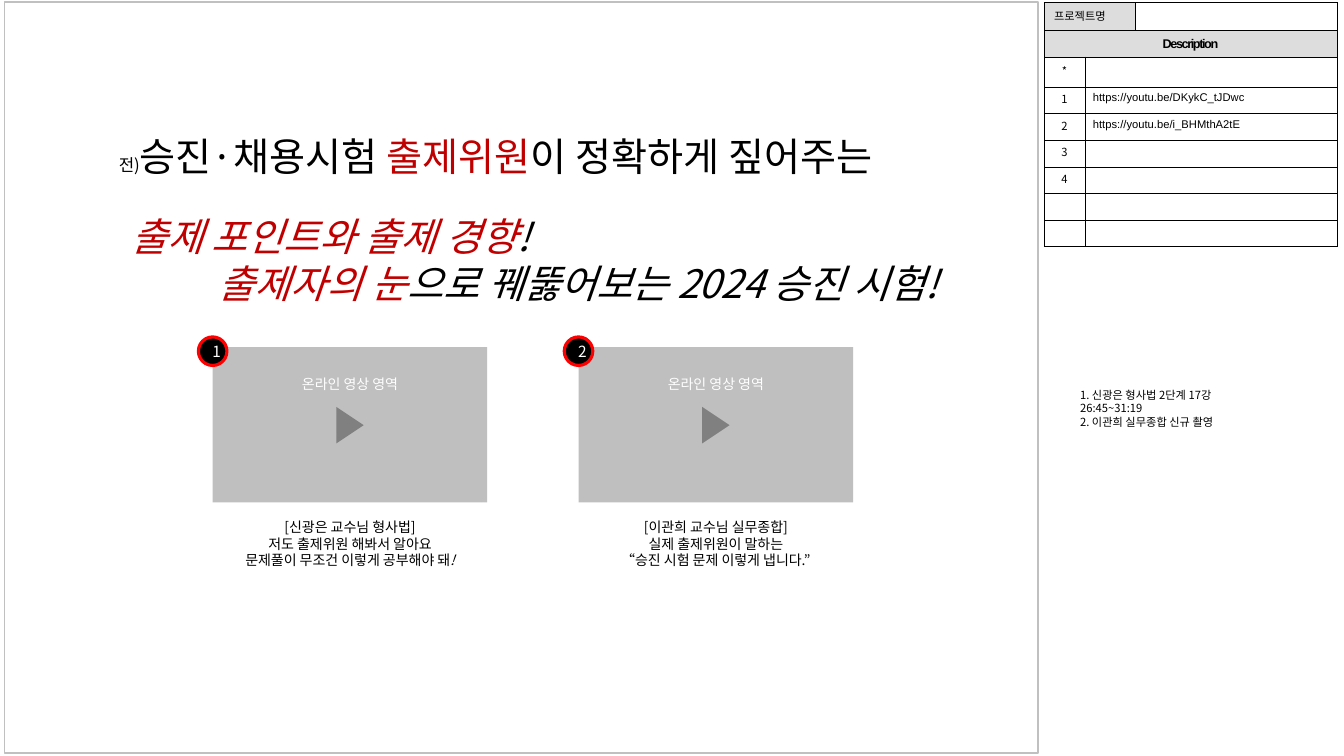
from lxml import etree
from pptx import Presentation
from pptx.dml.color import RGBColor
from pptx.enum.shapes import MSO_SHAPE
from pptx.enum.text import MSO_ANCHOR, MSO_AUTO_SIZE, PP_ALIGN
from pptx.oxml.ns import qn
from pptx.util import Cm, Pt

LEFT, CENTER = PP_ALIGN.LEFT, PP_ALIGN.CENTER
TOP, MIDDLE = MSO_ANCHOR.TOP, MSO_ANCHOR.MIDDLE
NO_AUTOFIT = MSO_AUTO_SIZE.NONE
RECTANGLE, OVAL = MSO_SHAPE.RECTANGLE, MSO_SHAPE.OVAL
TRIANGLE = MSO_SHAPE.ISOSCELES_TRIANGLE

KOREAN, LATIN = "Noto Sans CJK KR", "Arial"
BLACK, WHITE, RED = "000000", "FFFFFF", "C00000"
LINE_FACTOR = 1.2

HEADLINE = [
    ([("전)", {"size": 12}), ("승진·채용시험 ", {}), ("출제위원", {"color": RED}),
      ("이 정확하게 짚어주는", {})], 0.45, 0, False),
    ([("출제 포인트와 출제 경향", {"color": RED}), ("!", {})], 0.76, 24, True),
    ([("출제자의 눈", {"color": RED}), ("으로 꿰뚫어보는 2024 승진 시험!", {})], 2.97, 0, True),
]
VIDEOS = [
    ("1", 5.36, [[("[신광은 교수님 형사법]", {})], [("저도 출제위원 해봐서 알아요", {})],
                 [("문제풀이 무조건 이렇게 공부해야 돼", {}), ("!", {"italic": True})]]),
    ("2", 14.58, [[("[이관희 교수님 실무종합]", {})], [("실제 출제위원이 말하는", {})],
                  [("“승진 시험 문제 이렇게 냅니다.”", {})]]),
]
DESCRIPTIONS = [("*", ""), ("1", "https://youtu.be/DKykC_tJDwc"),
                ("2", "https://youtu.be/i_BHMthA2tE"), ("3", ""), ("4", ""), ("", ""), ("", "")]
SHOOTING_NOTES = ["1. 신광은 형사법 2단계 17강", "26:45~31:19", "2. 이관희 실무종합 신규 촬영"]


def rgb(value):
    """Turn a hex string into a colour."""
    return RGBColor.from_string(value)


def write(paragraph, runs, size, color=BLACK, align=LEFT, name=KOREAN, bold=False, italic=False):
    """Fill a paragraph with runs that share one font apart from their overrides."""
    paragraph.alignment = align
    paragraph.line_spacing = Pt(size * LINE_FACTOR)
    font = paragraph.font
    font.size, font.name, font.bold, font.italic = Pt(size), name, bold, italic
    font.color.rgb = rgb(color)
    defaults = paragraph._p.get_or_add_pPr().find(qn("a:defRPr"))
    etree.SubElement(defaults, qn("a:ea"), typeface=name)
    for text, changes in runs:
        run = paragraph.add_run()
        run.text = text
        if "size" in changes:
            run.font.size = Pt(changes["size"])
        if "color" in changes:
            run.font.color.rgb = rgb(changes["color"])
        if "italic" in changes:
            run.font.italic = changes["italic"]


def add_paragraphs(frame, count):
    """Return the first paragraph of a frame followed by new ones."""
    return [frame.paragraphs[0]] + [frame.add_paragraph() for _ in range(count - 1)]


def add_figure(slide, kind, left, top, width, height, fill=None, line=None, weight=1):
    """Add a flat preset shape at a place given in centimetres."""
    shape = slide.shapes.add_shape(kind, Cm(left), Cm(top), Cm(width), Cm(height))
    shape.shadow.inherit = False
    if fill:
        shape.fill.solid()
        shape.fill.fore_color.rgb = rgb(fill)
    else:
        shape.fill.background()
    if line:
        shape.line.color.rgb = rgb(line)
        shape.line.width = Pt(weight)
    else:
        shape.line.fill.background()
    return shape


def add_text(slide, left, top, width, height, lines, size, align=LEFT):
    """Add a wrapping text box with one paragraph per line."""
    box = slide.shapes.add_textbox(Cm(left), Cm(top), Cm(width), Cm(height))
    box.text_frame.word_wrap = True
    for paragraph, runs in zip(add_paragraphs(box.text_frame, len(lines)), lines):
        write(paragraph, runs, size, align=align)


def add_headline(slide, left, top, width, height):
    """Place the title and give its lines their stepped indents."""
    title = slide.shapes.title
    title.left, title.top, title.width, title.height = Cm(left), Cm(top), Cm(width), Cm(height)
    frame = title.text_frame
    frame.word_wrap, frame.auto_size, frame.vertical_anchor = True, NO_AUTOFIT, TOP
    for paragraph, line in zip(add_paragraphs(frame, len(HEADLINE)), HEADLINE):
        runs, indent, gap, italic = line
        properties = paragraph._p.get_or_add_pPr()
        properties.set("marL", str(Cm(indent)))
        properties.set("indent", "0")
        paragraph.space_before = Pt(gap)
        write(paragraph, runs, 28, italic=italic)


def add_video(slide, left, top, width, height, number, caption):
    """Draw a video area with its play mark, number badge and caption."""
    area = add_figure(slide, RECTANGLE, left, top, width, height, "BFBFBF")
    frame = area.text_frame
    frame.vertical_anchor, frame.margin_top = TOP, Cm(0.71)
    write(frame.paragraphs[0], [("온라인 영상 영역", {})], 10, WHITE, CENTER)
    play = add_figure(slide, TRIANGLE, left + width / 2 - 0.46, top + 1.62, 0.92, 0.69, "808080")
    play.rotation = 90
    add_text(slide, left, top + height + 0.28, width, 1.55, caption, 10, CENTER)
    badge = add_figure(slide, OVAL, left - 0.36, top - 0.26, 0.72, 0.72, BLACK, "FF0000", 2.25)
    frame = badge.text_frame
    frame.word_wrap, frame.vertical_anchor, frame.margin_left = False, MIDDLE, Cm(0.2)
    frame.margin_right = frame.margin_top = frame.margin_bottom = 0
    write(frame.paragraphs[0], [(number, {})], 11, WHITE, CENTER)


def style_cell(cell, fill):
    """Give a cell thin black borders, a fill and tight margins."""
    properties = cell._tc.get_or_add_tcPr()
    for side in ("lnL", "lnR", "lnT", "lnB"):
        border = etree.SubElement(properties, qn(f"a:{side}"), w=str(Pt(0.25)))
        paint = etree.SubElement(border, qn("a:solidFill"))
        etree.SubElement(paint, qn("a:srgbClr"), val=BLACK)
    cell.fill.solid()
    cell.fill.fore_color.rgb = rgb(fill)
    cell.margin_top = cell.margin_bottom = Cm(0.1)


def fill_cell(cell, text, size=8, anchor=MIDDLE, **style):
    """Write one line into a cell, keeping empty cells low."""
    cell.vertical_anchor = anchor
    paragraph = cell.text_frame.paragraphs[0]
    write(paragraph, [(text, {})] if text else [], size, **style)
    if not text:
        etree.SubElement(paragraph._p, qn("a:endParaRPr"), sz=str(size * 100))


def add_description_table(slide, left, top):
    """Add the project and description table."""
    widths = [1.03, 1.27, 5.08]
    heights = [0.71, 0.66, 0.76] + [0.67] * (len(DESCRIPTIONS) - 1)
    table = slide.shapes.add_table(len(heights), len(widths), Cm(left), Cm(top),
                                   Cm(sum(widths)), Cm(sum(heights))).table
    for column, width in zip(table.columns, widths):
        column.width = Cm(width)
    for row, height in zip(table.rows, heights):
        row.height = Cm(height)
    for index, row in enumerate(table.rows):
        for position, cell in enumerate(row.cells):
            shaded = index == 1 or (index == 0 and position < 2)
            style_cell(cell, "DDDDDD" if shaded else WHITE)
    table.cell(0, 0).merge(table.cell(0, 1))
    table.cell(1, 0).merge(table.cell(1, 2))
    fill_cell(table.cell(0, 0), "프로젝트명")
    fill_cell(table.cell(0, 2), "")
    heading = table.cell(1, 0)
    fill_cell(heading, "Description", 9, align=CENTER, name=LATIN, bold=True)
    heading.text_frame.paragraphs[0].runs[0]._r.get_or_add_rPr().set("spc", "-100")
    for index, (number, link) in enumerate(DESCRIPTIONS, start=2):
        label, detail = table.cell(index, 0), table.cell(index, 1)
        detail.merge(table.cell(index, 2))
        label.margin_left = label.margin_right = Cm(0.1)
        detail.margin_left = detail.margin_right = Cm(0.2)
        fill_cell(label, number, align=CENTER)
        fill_cell(detail, link, anchor=TOP, name=LATIN)


def main():
    """Build the storyboard slide and save it."""
    presentation = Presentation()
    presentation.slide_width, presentation.slide_height = Cm(33.87), Cm(19.05)
    slide = presentation.slides.add_slide(presentation.slide_layouts[5])
    add_figure(slide, RECTANGLE, 0.12, 0.05, 26.04, 18.93, line="C0C0C0")
    add_description_table(slide, 26.31, 0.06)
    add_headline(slide, 2.29, 3.2, 23.32, 4.7)
    for number, left, caption in VIDEOS:
        add_video(slide, left, 8.75, 6.92, 3.91, number, caption)
    add_text(slide, 26.97, 9.65, 6.88, 1.27, [[(note, {})] for note in SHOOTING_NOTES], 8)
    presentation.save("out.pptx")


if __name__ == "__main__":
    main()
